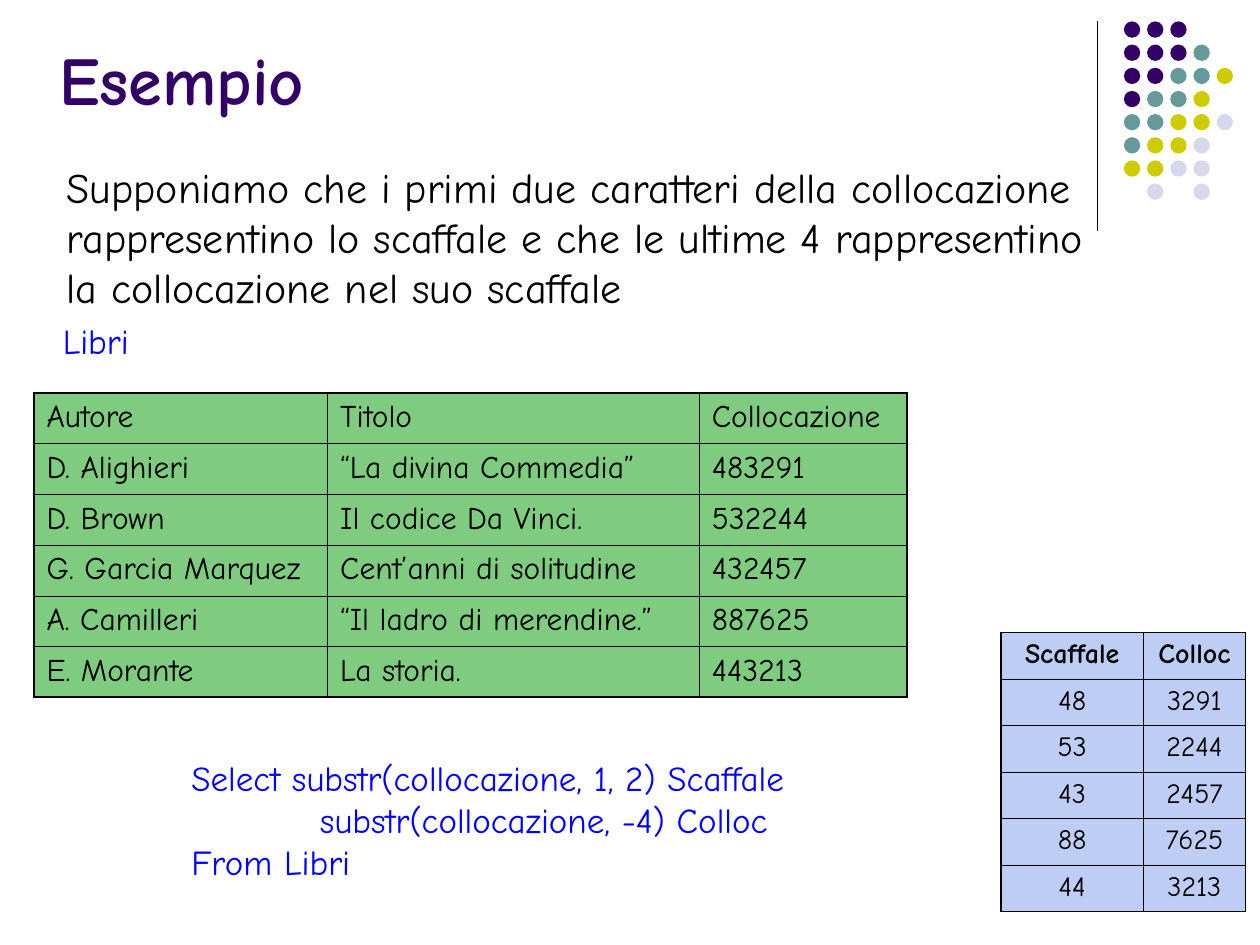
from lxml.etree import SubElement
from pptx import Presentation
from pptx.dml.color import RGBColor
from pptx.enum.shapes import MSO_CONNECTOR, MSO_SHAPE
from pptx.enum.text import MSO_ANCHOR, MSO_AUTO_SIZE, PP_ALIGN
from pptx.oxml import parse_xml
from pptx.oxml.ns import nsdecls, qn
from pptx.util import Inches, Pt

FONT = "Comic Neue"
WIDTH, HEIGHT = Inches(10), Inches(7.5)
COLORS = {
    "purple": "330066", "teal": "669999", "olive": "CCCC00", "lilac": "D8D8EC",
    "black": "000000", "blue": "0000FF", "green": "009900", "sky": "7E9CE8",
}
DOT_COLORS = {"P": "purple", "T": "teal", "O": "olive", "L": "lilac"}
DOT_ROWS = ["PPP", "PPPT", "PPTTO", "PTTO", "TTOOL", "TOOL", "OOLL", ".L.L"]
THIN, THICK = 0.45, 1.08

BOOKS = [
    ("Autore", "Titolo", "Collocazione"),
    ("D. Alighieri", "“La divina Commedia”", "483291"),
    ("D. Brown", "Il codice Da Vinci.", "532244"),
    ("G. Garcia Marquez", "Cent’anni di solitudine", "432457"),
    ("A. Camilleri", "“Il ladro di merendine.”", "887625"),
    ("E. Morante", "La storia.", "443213"),
]
SHELVES = [("Scaffale", "Colloc")] + [(code[:2], code[-4:]) for _, _, code in BOOKS[1:]]
INTRO = ("Supponiamo che i primi due caratteri della collocazione rappresentino "
         "lo scaffale e che le ultime 4 rappresentino la collocazione nel suo scaffale")
QUERY = [
    "Select substr(collocazione, 1, 2) Scaffale",
    "           substr(collocazione, -4) Colloc",
    "From Libri",
]


def across(percent):
    return round(WIDTH * percent / 100)


def down(percent):
    return round(HEIGHT * percent / 100)


def area(left, top, width, height):
    """Turn percentages of the slide into a position and size."""
    return across(left), down(top), across(width), down(height)


def color(name):
    return RGBColor.from_string(COLORS[name])


def style(paragraph, size, color_name, bold=False, align=PP_ALIGN.LEFT):
    paragraph.alignment = align
    paragraph.font.name = FONT
    paragraph.font.size = Pt(size)
    paragraph.font.bold = bold
    paragraph.font.color.rgb = color(color_name)


def set_title(page, text):
    title = page.shapes.title
    title.left, title.top, title.width, title.height = area(3.7, -5.6, 82.5, 18.93)
    frame = title.text_frame
    frame.text = text
    frame.vertical_anchor = MSO_ANCHOR.BOTTOM
    style(frame.paragraphs[0], 39, "purple", bold=True)


def add_text(page, place, lines, size, color_name):
    frame = page.shapes.add_textbox(*place).text_frame
    frame.text = "\n".join(lines)
    frame.word_wrap = True
    frame.auto_size = MSO_AUTO_SIZE.SHAPE_TO_FIT_TEXT
    for paragraph in frame.paragraphs:
        style(paragraph, size, color_name)


def add_divider(page):
    line = page.shapes.add_connector(
        MSO_CONNECTOR.STRAIGHT, across(87.1), down(2.27), across(87.1), down(24.4))
    line.line.color.rgb = color("black")
    line.line.width = Pt(0.75)
    SubElement(line.element.spPr, qn("a:effectLst"))


def add_dots(page):
    for row, letters in enumerate(DOT_ROWS):
        for column, letter in enumerate(letters):
            if letter not in DOT_COLORS:
                continue
            place = area(89.2 + 1.84 * column, 2.27 + 2.45 * row, 1.3, 1.73)
            dot = page.shapes.add_shape(MSO_SHAPE.OVAL, *place)
            dot.shadow.inherit = False
            dot.fill.solid()
            dot.fill.fore_color.rgb = color(DOT_COLORS[letter])
            dot.line.fill.background()


def paint_cell(cell, fill_name, borders):
    """Give a cell a half-transparent fill and borders (left, right, top, bottom)."""
    cell.fill.solid()
    cell.fill.fore_color.rgb = color(fill_name)
    properties = cell._tc.get_or_add_tcPr()
    fill = properties.find(qn("a:solidFill"))
    SubElement(fill[0], qn("a:alpha"), val="50000")
    for side, width in zip("LRTB", borders):
        fill.addprevious(parse_xml(
            f'<a:ln{side} {nsdecls("a")} w="{Pt(width)}"><a:solidFill>'
            f'<a:srgbClr val="{COLORS["black"]}"/></a:solidFill></a:ln{side}>'))


def add_grid(page, left, top, widths, row_height, rows, size, fill_name,
             align=PP_ALIGN.LEFT, bold_header=False):
    last_row, last_column = len(rows) - 1, len(widths) - 1
    place = area(left, top, sum(widths), row_height * len(rows))
    table = page.shapes.add_table(len(rows), len(widths), *place).table
    table.first_row = table.horz_banding = False
    for column, width in zip(table.columns, widths):
        column.width = across(width)
    for y, values in enumerate(rows):
        table.rows[y].height = down(row_height)
        for x, value in enumerate(values):
            cell = table.cell(y, x)
            cell.text = value
            style(cell.text_frame.paragraphs[0], size, "black",
                  bold_header and y == 0, align)
            edges = (x == 0, x == last_column, y == 0, y == last_row)
            paint_cell(cell, fill_name, [THICK if edge else THIN for edge in edges])


def main():
    deck = Presentation()
    deck.slide_width, deck.slide_height = WIDTH, HEIGHT
    page = deck.slides.add_slide(deck.slide_layouts[5])
    add_divider(page)
    add_dots(page)
    set_title(page, "Esempio")
    add_text(page, area(14.2, 79.4, 50, 14.67), QUERY, 20, "blue")
    add_text(page, area(4.3, 16.4, 85.8, 17.33), [INTRO], 24, "black")
    add_grid(page, 79.45, 66.93, (11.3, 8.1), 4.92, SHELVES, 16, "sky",
             PP_ALIGN.CENTER, bold_header=True)
    add_grid(page, 2.7, 41.6, (23.3, 29.5, 16.5), 5.37, BOOKS, 18, "green")
    add_text(page, area(4, 33.2, 9, 5.87), ["Libri"], 20, "blue")
    deck.save("out.pptx")


if __name__ == "__main__":
    main()
